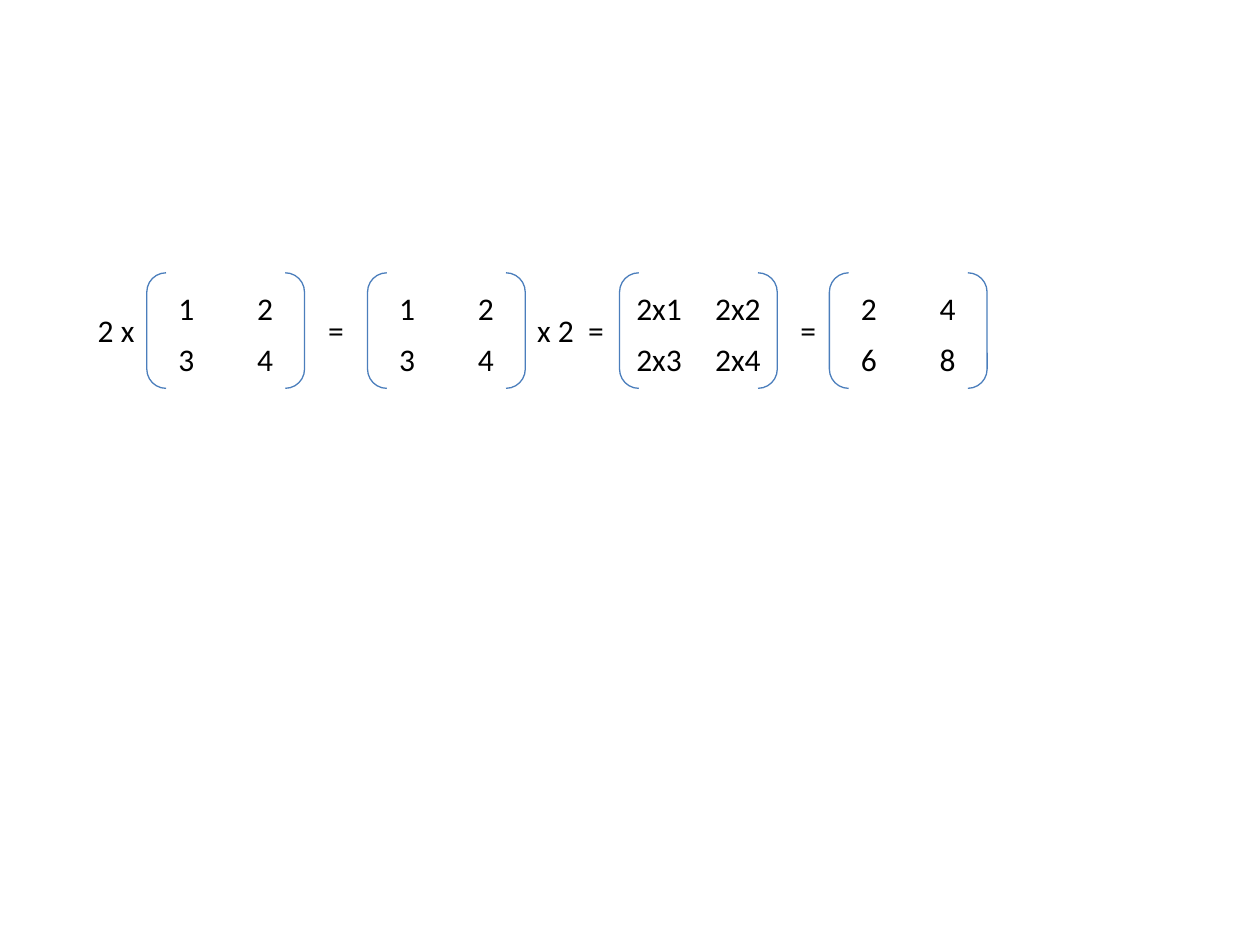
"""Build a slide showing that scalar and matrix multiplication commute."""
from pptx import Presentation
from pptx import util as u
from pptx.dml.color import RGBColor
from pptx.enum import shapes, text

BLACK = RGBColor(0x00, 0x00, 0x00)
BRACKET_BLUE = RGBColor(0x4B, 0x7E, 0xBC)


class EquationSlide:
    font_name = "Calibri"
    font_size = u.Pt(18)
    matrix_width = u.Cm(3.18)
    matrix_height = u.Cm(2.06)
    matrix_top = u.Cm(5.72)
    bracket_top = u.Cm(5.5)
    bracket_height = u.Cm(2.33)
    term_top = u.Cm(6.14)
    term_height = u.Cm(1.03)

    def __init__(self, slide):
        self.slide = slide

    def set_wording(self, frame, wording, alignment):
        frame.text = wording
        paragraph = frame.paragraphs[0]
        paragraph.alignment = alignment
        font = paragraph.runs[0].font
        font.name = self.font_name
        font.size = self.font_size
        font.color.rgb = BLACK

    def matrix(self, left, rows):
        table = self.slide.shapes.add_table(
            len(rows), len(rows[0]), u.Cm(left), self.matrix_top,
            self.matrix_width, self.matrix_height).table
        table.first_row = False
        table.horz_banding = False
        for row, values in enumerate(rows):
            for column, value in enumerate(values):
                cell = table.cell(row, column)
                cell.fill.background()
                self.set_wording(cell.text_frame, value, text.PP_ALIGN.CENTER)
        self.brackets(left)

    def brackets(self, left):
        pair = self.slide.shapes.add_shape(
            shapes.MSO_SHAPE.DOUBLE_BRACKET, u.Cm(left), self.bracket_top,
            self.matrix_width, self.bracket_height)
        pair.shadow.inherit = False
        pair.fill.background()
        pair.line.color.rgb = BRACKET_BLUE
        pair.line.width = u.Pt(0.75)

    def term(self, left, width, wording, alignment=text.PP_ALIGN.CENTER):
        frame = self.slide.shapes.add_textbox(
            u.Cm(left), self.term_top, u.Cm(width), self.term_height).text_frame
        frame.word_wrap = True
        frame.auto_size = text.MSO_AUTO_SIZE.SHAPE_TO_FIT_TEXT
        self.set_wording(frame, wording, alignment)


def main():
    deck = Presentation()
    deck.slide_width, deck.slide_height = u.Cm(25.4), u.Cm(19.05)
    equation = EquationSlide(deck.slides.add_slide(deck.slide_layouts[6]))
    factor = [["1", "2"], ["3", "4"]]
    products = [["2x1", "2x2"], ["2x3", "2x4"]]
    result = [["2", "4"], ["6", "8"]]

    equation.term(1.27, 1.69, "2 x", text.PP_ALIGN.RIGHT)
    equation.matrix(2.96, factor)
    equation.term(6.14, 1.27, "=")
    equation.matrix(7.41, factor)
    equation.term(10.58, 1.91, "x 2  =", text.PP_ALIGN.LEFT)
    equation.matrix(12.49, products)
    equation.term(15.66, 1.27, "=")
    equation.matrix(16.72, result)
    deck.save("out.pptx")


if __name__ == "__main__":
    main()
